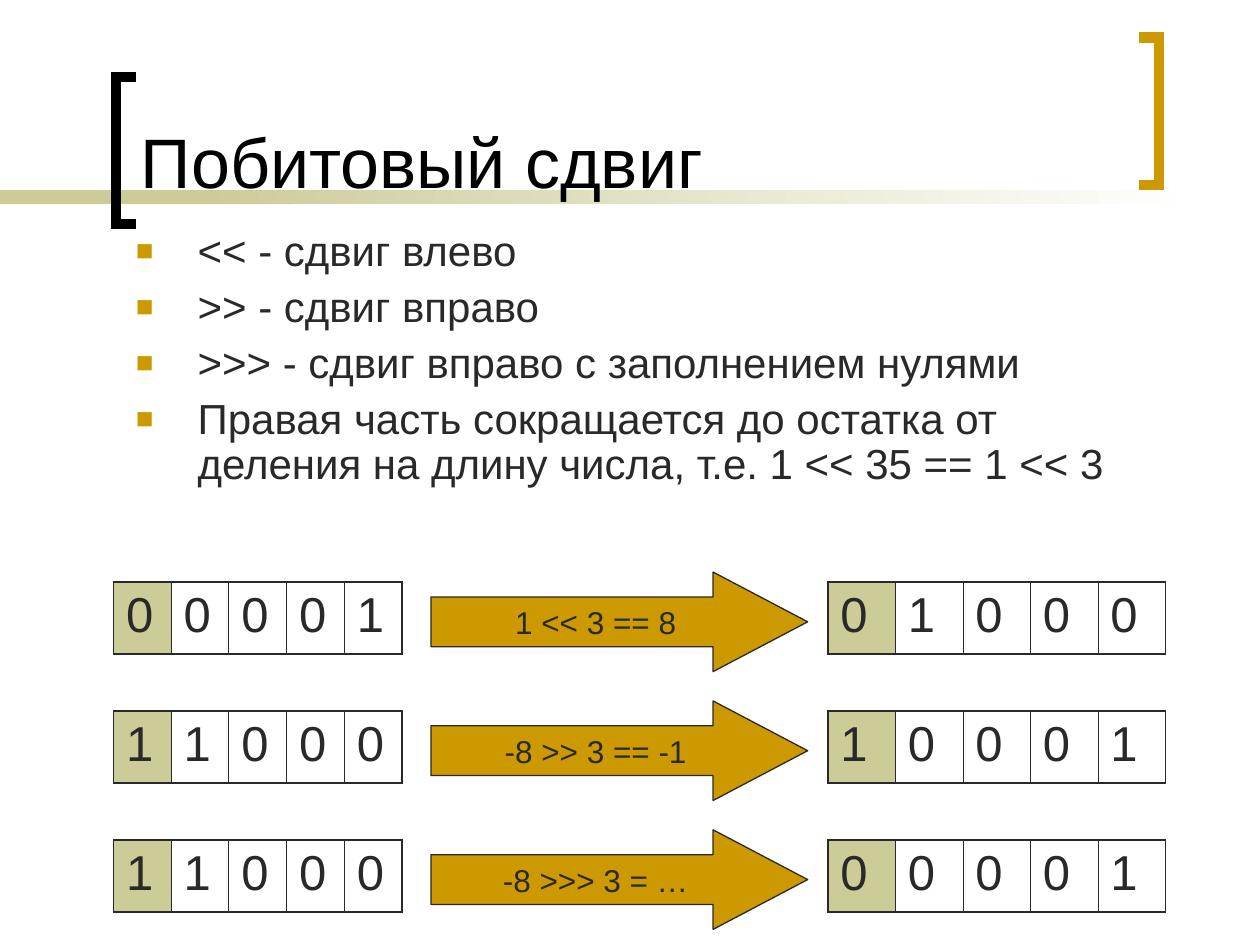
from dataclasses import dataclass

from lxml.etree import SubElement
from pptx import Presentation
from pptx.dml.color import RGBColor as Color
from pptx.enum.shapes import MSO_SHAPE as Preset
from pptx.enum.text import MSO_ANCHOR as Anchor, PP_ALIGN as Align
from pptx.oxml.ns import qn
from pptx.util import Inches, Pt

COLUMNS, ROWS = 100, 75
SLIDE_WIDTH, SLIDE_HEIGHT = Inches(10), Inches(7.5)


@dataclass(frozen=True)
class Theme:
    """Colours, font and point sizes of the slide."""
    font: str = "Arial"
    ink: str = "292929"
    title_ink: str = "000000"
    accent: str = "CC9900"
    sand: str = "CCCC99"
    paper: str = "FFFFFF"
    title_size: int = 40
    body_size: int = 24
    bit_size: int = 28
    formula_size: int = 18
    bracket_line: float = 6
    arrow_line: float = 0.75
    outer_border: float = 1.08
    inner_border: float = 0.45


THEME = Theme()
RULES = [
    "<< - сдвиг влево",
    ">> - сдвиг вправо",
    ">>> - сдвиг вправо с заполнением нулями",
    "Правая часть сокращается до остатка от деления на длину числа, "
    "т.е. 1 << 35 == 1 << 3",
]
SHIFTS = [
    ("00001", "1 << 3 == 8", "01000"),
    ("11000", "-8 >> 3 == -1", "10001"),
    ("11000", "-8 >>> 3 = …", "00001"),
]
FIRST_SHIFT_ROW, SHIFT_PITCH = 46.2, 10.23


def across(columns):
    """Convert grid columns to a length."""
    return round(SLIDE_WIDTH * columns / COLUMNS)


def down(rows):
    """Convert grid rows to a length."""
    return round(SLIDE_HEIGHT * rows / ROWS)


def area(column, row, columns, rows):
    """Return left, top, width and height of a grid area."""
    return across(column), down(row), across(columns), down(rows)


def apply_format(target, values):
    """Set each named attribute of the target."""
    for attribute, value in values.items():
        setattr(target, attribute, value)


def write(paragraph, words, size, ink, **layout):
    """Write one run into a paragraph and format both."""
    run = paragraph.add_run()
    run.text = words
    apply_format(run.font, {"name": THEME.font, "size": Pt(size)})
    run.font.color.rgb = Color.from_string(ink)
    apply_format(paragraph, layout)


def add_block(slide, place, **frame_format):
    """Add a wrapping text box and return its frame."""
    frame = slide.shapes.add_textbox(*place).text_frame
    apply_format(frame, {"word_wrap": True, **frame_format})
    return frame


def add_bullet(paragraph):
    """Give a paragraph a hanging square bullet."""
    properties = paragraph._p.get_or_add_pPr()
    properties.set("marL", str(across(4.9)))
    properties.set("indent", str(-across(4.9)))
    colour = SubElement(properties, qn("a:buClr"))
    SubElement(colour, qn("a:srgbClr"), val=THEME.accent)
    SubElement(properties, qn("a:buSzPct"), val="70000")
    SubElement(properties, qn("a:buFont"), typeface=THEME.font)
    SubElement(properties, qn("a:buChar"), char="■")


def add_band(slide, place, fade_to=None):
    """Add a borderless band, solid or fading to a colour."""
    band = slide.shapes.add_shape(Preset.RECTANGLE, *place)
    band.shadow.inherit = False
    band.line.fill.background()
    if fade_to is None:
        band.fill.solid()
        band.fill.fore_color.rgb = Color.from_string(THEME.sand)
        return
    band.fill.gradient()
    band.fill.gradient_angle = 0
    for stop, colour in zip(band.fill.gradient_stops, (THEME.sand, fade_to)):
        stop.color.rgb = Color.from_string(colour)


def add_bracket(slide, spine, tip, top, colour, height=11.7):
    """Draw a square bracket from its spine column to its tip column."""
    corners = [(tip, top), (spine, top), (spine, top + height), (tip, top + height)]
    points = [(across(column), down(row)) for column, row in corners]
    outline = slide.shapes.build_freeform(*points[0])
    outline.add_line_segments(points[1:], close=False)
    bracket = outline.convert_to_shape()
    bracket.shadow.inherit = False
    bracket.fill.background()
    bracket.line.width = Pt(THEME.bracket_line)
    bracket.line.color.rgb = Color.from_string(colour)
    SubElement(bracket.line._get_or_add_ln(), qn("a:miter"), lim="800000")


def add_border(cell, side, width):
    """Draw one side of a cell border."""
    properties = cell._tc.get_or_add_tcPr()
    border = SubElement(properties, qn(f"a:ln{side}"), w=str(Pt(width)))
    fill = SubElement(border, qn("a:solidFill"))
    SubElement(fill, qn("a:srgbClr"), val=THEME.ink)


def add_register(slide, bits, place):
    """Add a one-row table of bits with a shaded sign bit."""
    register = slide.shapes.add_table(1, len(bits), *place).table
    apply_format(register, {"first_row": False, "horz_banding": False})
    last = len(bits) - 1
    for index, bit in enumerate(bits):
        cell = register.cell(0, index)
        write(cell.text_frame.paragraphs[0], bit, THEME.bit_size, THEME.ink,
              space_before=Pt(7))
        outer, inner = THEME.outer_border, THEME.inner_border
        add_border(cell, "L", outer if index == 0 else inner)
        add_border(cell, "R", outer if index == last else inner)
        add_border(cell, "T", outer)
        add_border(cell, "B", outer)
        if index == 0:
            cell.fill.solid()
            cell.fill.fore_color.rgb = Color.from_string(THEME.sand)
        else:
            cell.fill.background()


def add_formula_arrow(slide, formula, place):
    """Add a right arrow labelled with a formula."""
    arrow = slide.shapes.add_shape(Preset.RIGHT_ARROW, *place)
    arrow.shadow.inherit = False
    arrow.adjustments[0], arrow.adjustments[1] = 0.5, 0.95
    arrow.fill.solid()
    arrow.fill.fore_color.rgb = Color.from_string(THEME.accent)
    arrow.line.width = Pt(THEME.arrow_line)
    arrow.line.color.rgb = Color.from_string(THEME.ink)
    apply_format(arrow.text_frame,
                 {"word_wrap": False, "vertical_anchor": Anchor.MIDDLE})
    write(arrow.text_frame.paragraphs[0], formula, THEME.formula_size,
          THEME.ink, alignment=Align.CENTER)


def main():
    """Build and save the slide."""
    deck = Presentation()
    apply_format(deck, {"slide_width": SLIDE_WIDTH, "slide_height": SLIDE_HEIGHT})
    slide = deck.slides.add_slide(deck.slide_layouts[6])

    add_band(slide, area(0, 15.1, 23.3, 1.1))
    add_band(slide, area(15.8, 15.1, 79.2, 1.1), fade_to=THEME.paper)
    add_bracket(slide, 9.2, 10.8, 6.1, THEME.title_ink)
    add_bracket(slide, 92, 90.4, 3, THEME.accent)

    title = add_block(slide, area(10.2, 1.1, 78.3, 15.5),
                      vertical_anchor=Anchor.BOTTOM)
    write(title.paragraphs[0], "Побитовый сдвиг", THEME.title_size, THEME.title_ink)

    body = add_block(slide, area(9.8, 17.8, 82.9, 22.9))
    for index, rule in enumerate(RULES):
        paragraph = body.add_paragraph() if index else body.paragraphs[0]
        write(paragraph, rule, THEME.body_size, THEME.ink,
              line_spacing=0.9, space_before=Pt(6))
        add_bullet(paragraph)

    for index, (before, formula, after) in enumerate(SHIFTS):
        row = FIRST_SHIFT_ROW + index * SHIFT_PITCH
        add_register(slide, before, area(9, row, 22.9, 5.7))
        add_register(slide, after, area(65.7, row, 26.8, 5.7))
        add_formula_arrow(slide, formula, area(34.2, row - 0.8, 29.9, 7.9))

    deck.save("out.pptx")


main()
